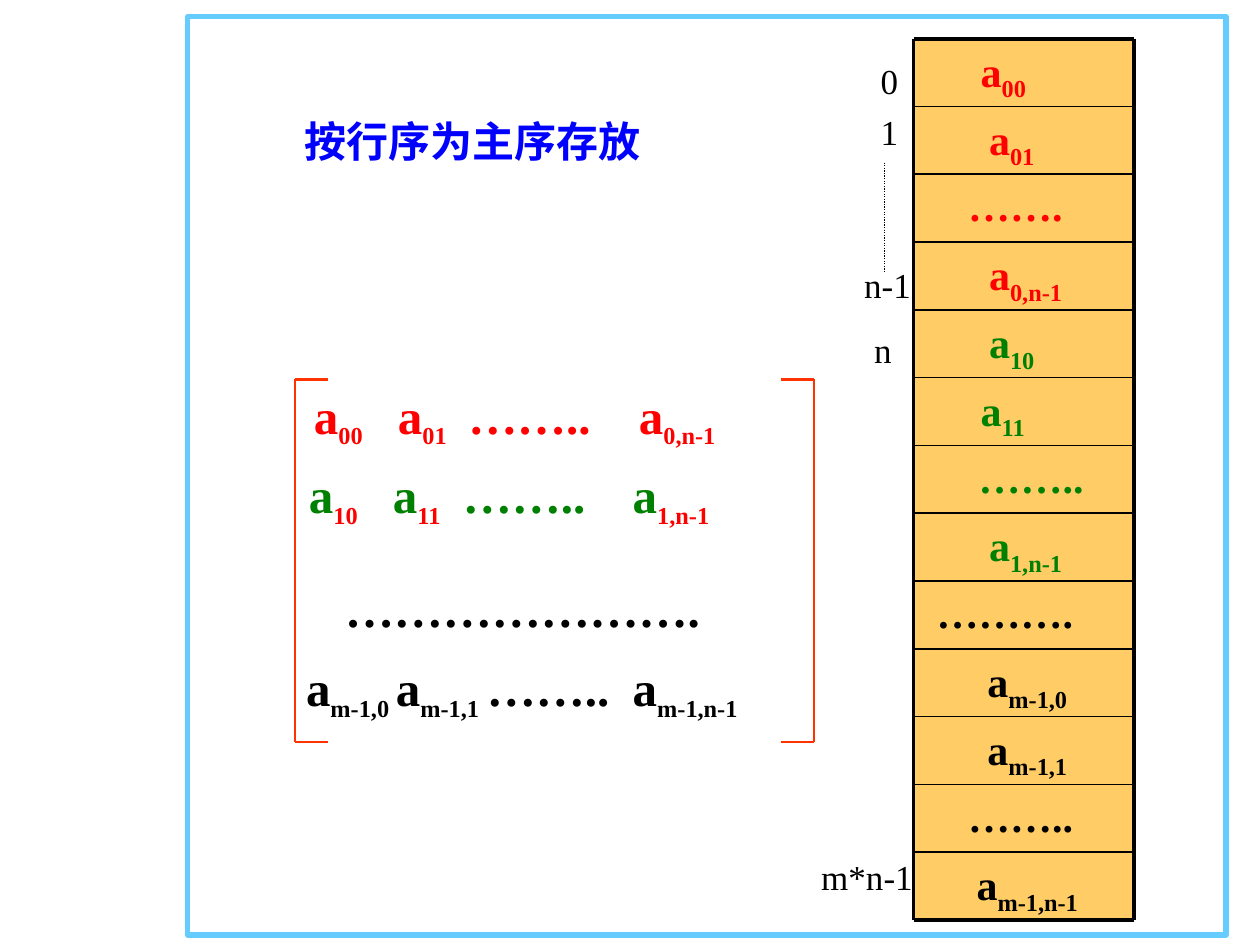
from pptx import Presentation
from pptx.dml.color import RGBColor
from pptx.enum.dml import MSO_LINE
from pptx.enum.shapes import MSO_CONNECTOR as Connector, MSO_SHAPE as Shape
from pptx.enum.text import MSO_ANCHOR as Anchor, PP_ALIGN as Align
from pptx.oxml.ns import qn
from pptx.util import Pt
from lxml.etree import SubElement

FONT = "Times New Roman"
RED, GREEN, BLACK, ORANGE = "FF0000", "008000", "000000", "FF3300"

STORE_LEFT, STORE_TOP, STORE_WIDTH, CELL_HEIGHT = 522, 22.1, 126, 38.74
CELLS = [
    ("a_00", RED, 38.4), ("a_01", RED, 43.2), ("…….", RED, 31.2),
    ("a_0,n-1", RED, 43.2), ("a_10", GREEN, 43.2), ("a_11", GREEN, 38.4),
    ("……..", GREEN, 37.2), ("a_1,n-1", GREEN, 43.2), ("……….", BLACK, 13.2),
    ("a_m-1,0", BLACK, None), ("a_m-1,1", BLACK, None),
    ("……..", BLACK, 31.2), ("a_m-1,n-1", BLACK, None),
]
MATRIX_LEFT = 99.4
MATRIX_ROWS = [
    (216.7, 347, RED, RED, "a_00|a_01|……..|a_0,n-1", [179.4, 227.4, 267.6, 365.1]),
    (262.1, 379, GREEN, RED, "a_10|a_11|……..|a_1,n-1", [176.6, 224.6, 264.6, 361.6]),
    (326.9, 354, BLACK, BLACK, "………………….", [197.2]),
    (372.2, 429, BLACK, BLACK, "a_m-1,0|a_m-1,1|……..|a_m-1,n-1",
     [174.9, 226.3, 278.3, 361.6]),
]
INDEX_LABELS = [
    ("0", 496.1, 30.2, 24.5), ("1", 496.1, 59.8, 24.5), ("n-1", 486.7, 146.9, 41),
    ("n", 492.5, 184.3, 24.5), ("m*n-1", 462.2, 485.3, 66.2),
]


def color(hex_string):
    return RGBColor.from_string(hex_string)


def add_line(slide, x1, y1, x2, y2, line_color, width):
    line = slide.shapes.add_connector(
        Connector.STRAIGHT, Pt(x1), Pt(y1), Pt(x2), Pt(y2))
    line.line.color.rgb = color(line_color)
    line.line.width = Pt(width)
    SubElement(line._element.spPr, qn("a:effectLst"))
    return line


def add_rectangle(slide, left, top, width, height, fill):
    shape = slide.shapes.add_shape(
        Shape.RECTANGLE, Pt(left), Pt(top), Pt(width), Pt(height))
    shape.shadow.inherit = False
    shape.fill.solid()
    shape.fill.fore_color.rgb = color(fill)
    shape.line.fill.background()
    return shape


def add_text_box(slide, left, top, width, height, wrap=True):
    box = slide.shapes.add_textbox(Pt(left), Pt(top), Pt(width), Pt(height))
    box.text_frame.word_wrap = wrap
    return box.text_frame


def set_font(paragraph, size, text_color, bold=True):
    font = paragraph.font
    font.name, font.size, font.bold = FONT, Pt(size), bold
    font.color.rgb = color(text_color)


def add_tab_stops(paragraph, positions):
    tab_list = SubElement(paragraph._p.get_or_add_pPr(), qn("a:tabLst"))
    for position in positions:
        SubElement(tab_list, qn("a:tab"), pos=str(Pt(position)), algn="l")


def add_entry(paragraph, entry, subscript_color):
    base, _, subscript = entry.partition("_")
    paragraph.add_run().text = base
    if subscript:
        run = paragraph.add_run()
        run.text = subscript
        run.font.size = Pt(24)
        run.font.color.rgb = color(subscript_color)
        run._r.get_or_add_rPr().set("baseline", "-25000")


def add_matrix_row(slide, top, width, main_color, subscript_color, text, starts):
    frame = add_text_box(slide, MATRIX_LEFT, top, width, 45.4)
    frame.margin_left = Pt(starts[0] - MATRIX_LEFT)
    paragraph = frame.paragraphs[0]
    if len(starts) > 1:
        add_tab_stops(paragraph, [start - starts[0] for start in starts[1:]])
    set_font(paragraph, 28, main_color)
    for number, entry in enumerate(text.split("|")):
        add_entry(paragraph, "\t" + entry if number else entry, subscript_color)


def add_bracket(slide, x, tip_x):
    top, bottom = 216.7, 424.1
    add_line(slide, x, top, x, bottom, ORANGE, 1.5)
    for y in (top, bottom):
        add_line(slide, x, y, tip_x, y, ORANGE, 1.5)


def add_cell(slide, number, entry, text_color, indent):
    top = STORE_TOP + number * CELL_HEIGHT
    cell = add_rectangle(
        slide, STORE_LEFT, top, STORE_WIDTH, CELL_HEIGHT, "FFCC66")
    frame = cell.text_frame
    frame.vertical_anchor = Anchor.MIDDLE
    frame.margin_left = Pt(indent or 11.2)
    frame.margin_top = Pt(5.2 if "_" in entry else 0)
    paragraph = frame.paragraphs[0]
    paragraph.alignment = Align.LEFT if indent else Align.CENTER
    set_font(paragraph, 24, text_color)
    add_entry(paragraph, entry, text_color)


def add_store_lines(slide):
    right = STORE_LEFT + STORE_WIDTH
    bottom = STORE_TOP + len(CELLS) * CELL_HEIGHT
    for number in range(len(CELLS) + 1):
        y = STORE_TOP + number * CELL_HEIGHT
        width = 2.25 if number in (0, len(CELLS)) else 1
        add_line(slide, STORE_LEFT, y, right, y, BLACK, width)
    for x in (STORE_LEFT, right):
        add_line(slide, x, STORE_TOP, x, bottom, BLACK, 2.25)


def add_label(slide, text, left, top, width):
    frame = add_text_box(slide, left, top, width, 31.7, wrap=False)
    frame.margin_right = Pt(0)
    paragraph = frame.paragraphs[0]
    paragraph.alignment = Align.LEFT
    paragraph.text = text
    set_font(paragraph, 20, BLACK, bold=False)


def add_title(slide):
    frame = add_text_box(slide, 156.2, 62.6, 233.3, 36)
    frame.margin_left = Pt(18)
    paragraph = frame.paragraphs[0]
    paragraph.text = "按行序为主序存放"
    set_font(paragraph, 24, "0000FF")


def main():
    presentation = Presentation()
    presentation.slide_width, presentation.slide_height = Pt(720), Pt(540)
    slide = presentation.slides.add_slide(presentation.slide_layouts[6])

    border = add_rectangle(slide, 107.3, 9.4, 593.3, 524.9, "FFFFFF")
    border.line.color.rgb = color("66CCFF")
    border.line.width = Pt(3)

    add_title(slide)
    for row in MATRIX_ROWS:
        add_matrix_row(slide, *row)
    add_bracket(slide, 168.5, 187.2)
    add_bracket(slide, 465.1, 446.4)

    for number, cell in enumerate(CELLS):
        add_cell(slide, number, *cell)
    add_store_lines(slide)
    for label in INDEX_LABELS:
        add_label(slide, *label)
    gap = add_line(slide, 505.4, 92.9, 505.4, 155.5, BLACK, 0.75)
    gap.line.dash_style = MSO_LINE.ROUND_DOT

    presentation.save("out.pptx")


if __name__ == "__main__":
    main()
